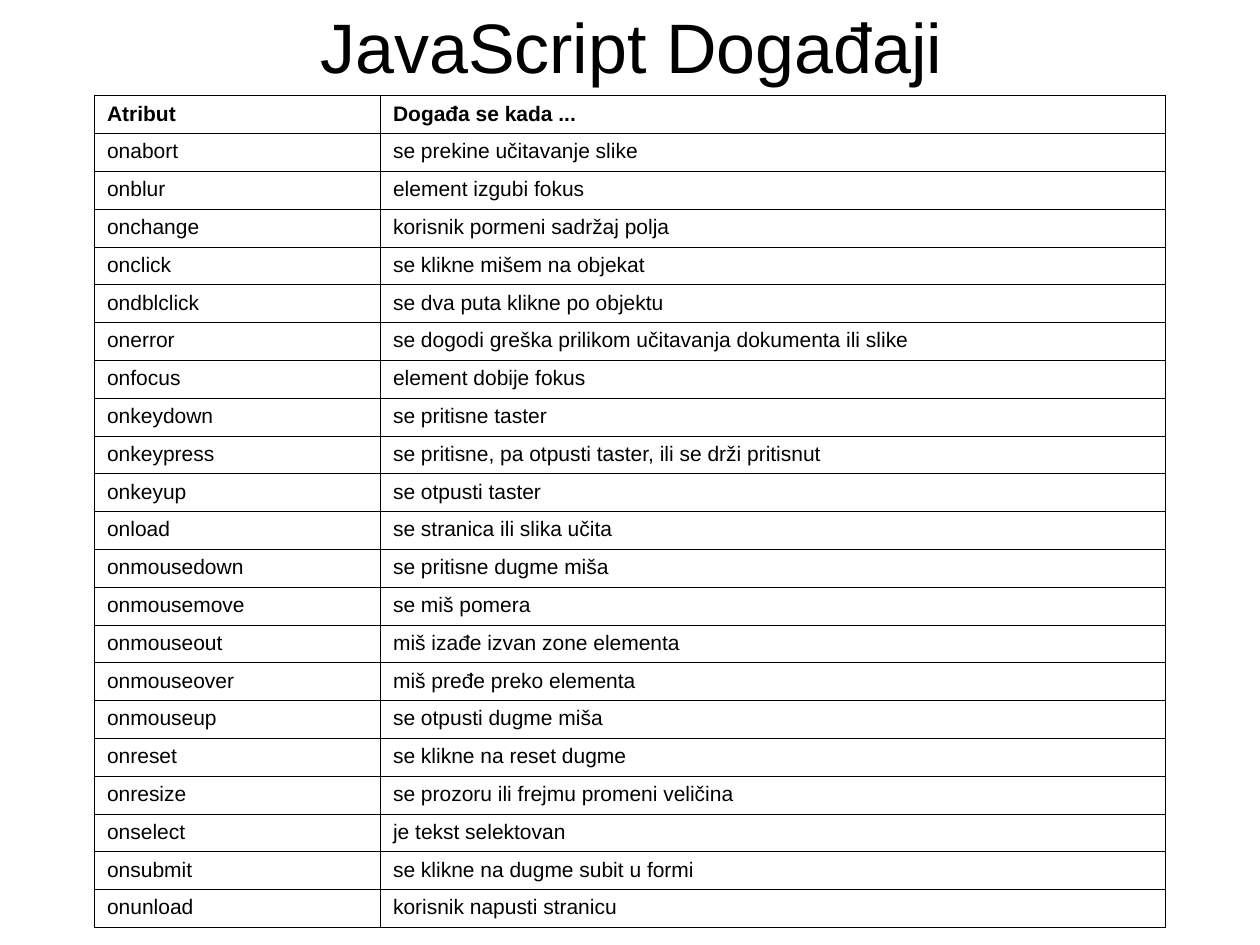
from pptx import Presentation
from pptx.dml.color import RGBColor
from pptx.enum.text import MSO_ANCHOR, MSO_AUTO_SIZE, PP_ALIGN
from pptx.oxml import parse_xml
from pptx.oxml.ns import nsdecls
from pptx.util import Inches, Pt

TITLE = "JavaScript Događaji"
HEADER = ("Atribut", "Događa se kada ...")
EVENTS = [
    ("onabort", "se prekine učitavanje slike"),
    ("onblur", "element izgubi fokus"),
    ("onchange", "korisnik pormeni sadržaj polja"),
    ("onclick", "se klikne mišem na objekat"),
    ("ondblclick", "se dva puta klikne po objektu"),
    ("onerror", "se dogodi greška prilikom učitavanja dokumenta ili slike"),
    ("onfocus", "element dobije fokus"),
    ("onkeydown", "se pritisne taster"),
    ("onkeypress", "se pritisne, pa otpusti taster, ili se drži pritisnut"),
    ("onkeyup", "se otpusti taster"),
    ("onload", "se stranica ili slika učita"),
    ("onmousedown", "se pritisne dugme miša"),
    ("onmousemove", "se miš pomera"),
    ("onmouseout", "miš izađe izvan zone elementa"),
    ("onmouseover", "miš pređe preko elementa"),
    ("onmouseup", "se otpusti dugme miša"),
    ("onreset", "se klikne na reset dugme"),
    ("onresize", "se prozoru ili frejmu promeni veličina"),
    ("onselect", "je tekst selektovan"),
    ("onsubmit", "se klikne na dugme subit u formi"),
    ("onunload", "korisnik napusti stranicu"),
]
COLORS = {"text": "000000", "border": "000000", "background": "FFFFFF"}
FONT = "Arial"
COLUMN_WIDTHS = (2.27, 6.23)
ROW_HEIGHT = 0.3
HANGING = Inches(0.38)
BORDER_WIDTH = Pt(0.45)


def add_run(paragraph, text, size, bold=False):
    run = paragraph.add_run()
    run.text = text
    run.font.name = FONT
    run.font.size = Pt(size)
    run.font.bold = bold
    run.font.color.rgb = RGBColor.from_string(COLORS["text"])


def add_borders(cell):
    properties = cell._tc.get_or_add_tcPr()
    for side in ("lnL", "lnR", "lnT", "lnB"):
        properties.append(parse_xml(
            f'<a:{side} {nsdecls("a")} w="{BORDER_WIDTH}"><a:solidFill>'
            f'<a:srgbClr val="{COLORS["border"]}"/></a:solidFill></a:{side}>'))


def add_title(slide):
    title = slide.shapes.add_textbox(
        Inches(0.51), Inches(0.13), Inches(9), Inches(0.47))
    frame = title.text_frame
    frame.word_wrap = True
    frame.auto_size = MSO_AUTO_SIZE.NONE
    frame.vertical_anchor = MSO_ANCHOR.MIDDLE
    frame.margin_top = frame.margin_bottom = 0
    frame.paragraphs[0].alignment = PP_ALIGN.CENTER
    add_run(frame.paragraphs[0], TITLE, 40)


def add_event_table(slide):
    rows = [HEADER, *EVENTS]
    table = slide.shapes.add_table(
        len(rows), len(HEADER), Inches(0.75), Inches(0.76),
        Inches(sum(COLUMN_WIDTHS)), Inches(ROW_HEIGHT * len(rows))).table
    table.horz_banding = False
    for column, width in zip(table.columns, COLUMN_WIDTHS):
        column.width = Inches(width)
    for row_index, row in enumerate(rows):
        table.rows[row_index].height = Inches(ROW_HEIGHT)
        for column_index, text in enumerate(row):
            cell = table.cell(row_index, column_index)
            add_borders(cell)
            cell.fill.background()
            paragraph = cell.text_frame.paragraphs[0]
            indents = paragraph._p.get_or_add_pPr()
            indents.set("marL", str(HANGING))
            indents.set("indent", str(-HANGING))
            add_run(paragraph, text, 12, bold=row_index == 0)


def main():
    deck = Presentation()
    deck.slide_width, deck.slide_height = Inches(10), Inches(7.5)
    slide = deck.slides.add_slide(deck.slide_layouts[6])
    slide.background.fill.solid()
    slide.background.fill.fore_color.rgb = RGBColor.from_string(COLORS["background"])
    add_title(slide)
    add_event_table(slide)
    deck.save("out.pptx")


if __name__ == "__main__":
    main()
